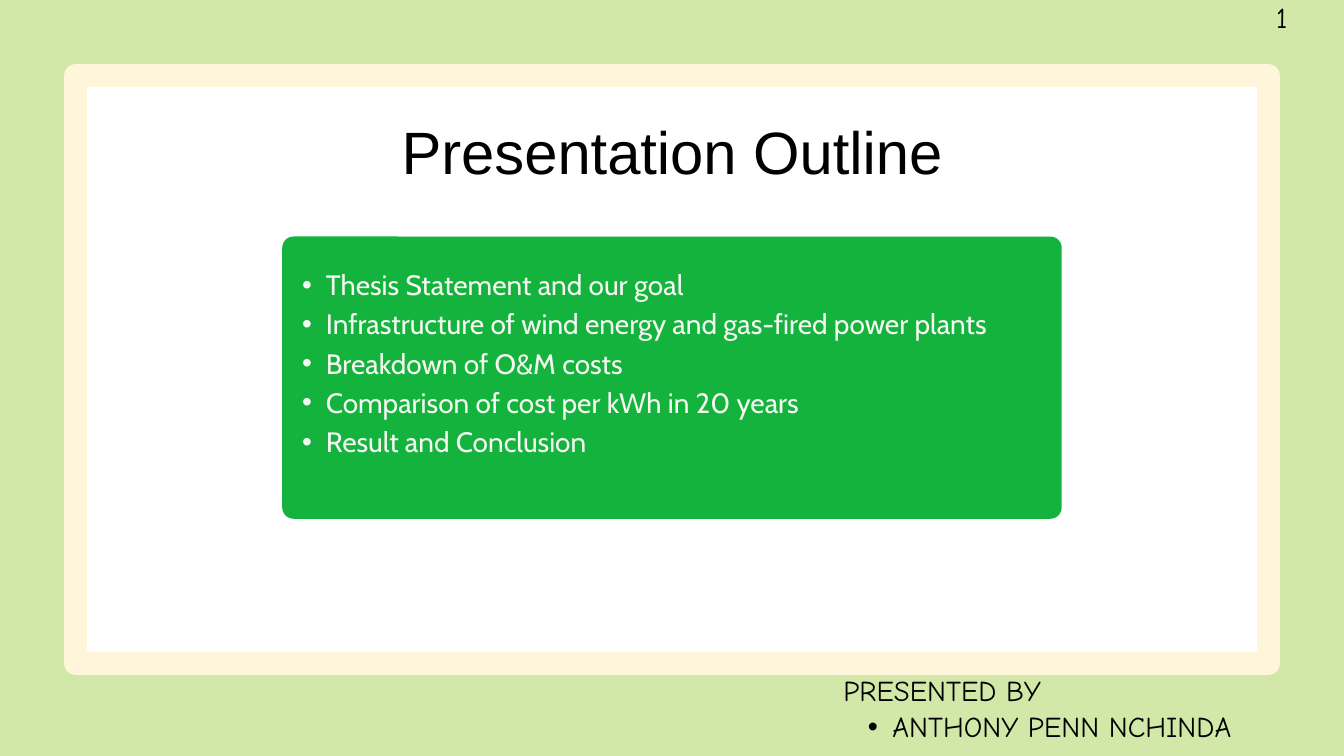
from lxml.etree import SubElement
from pptx import Presentation
from pptx.dml.color import RGBColor
from pptx.enum.shapes import MSO_SHAPE as Shape
from pptx.enum.text import MSO_ANCHOR as Anchor, MSO_AUTO_SIZE as AutoSize, PP_ALIGN as Align
from pptx.oxml.ns import qn
from pptx.util import Inches, Pt

GREEN_PALE = RGBColor(0xD2, 0xE8, 0xA8)
GREEN = RGBColor(0x14, 0xB3, 0x3D)
CREAM = RGBColor(0xFE, 0xF5, 0xDA)
WHITE = RGBColor(0xFF, 0xFF, 0xFF)
OFF_WHITE = RGBColor(0xF5, 0xF8, 0xF1)
BLACK = RGBColor(0x00, 0x00, 0x00)

WIDTH, HEIGHT = 20, 11.25
MARGIN = HEIGHT / 10
PANEL_WIDTH = WIDTH * 0.58

OUTLINE = [
    "Thesis Statement and our goal",
    "Infrastructure of wind energy and gas-fired power plants",
    "Breakdown of O&M costs",
    "Comparison of cost per kWh in 20 years",
    "Result and Conclusion",
]


def place(box, left, top, width, height):
    box.left, box.top = Inches(left), Inches(top)
    box.width, box.height = Inches(width), Inches(height)


def write(box, lines, font, size, color, spacing, align=Align.LEFT, bullets_from=None, indent=0.71):
    """Fill a box with paragraphs, bulleted from the given line onwards."""
    frame = box.text_frame
    frame.word_wrap = True
    frame.auto_size = AutoSize.NONE
    frame.vertical_anchor = Anchor.TOP
    frame.margin_left = frame.margin_top = frame.margin_right = frame.margin_bottom = 0
    for number, line in enumerate(lines):
        para = frame.paragraphs[0] if number == 0 else frame.add_paragraph()
        para.alignment = align
        para.line_spacing = Pt(spacing)
        para.space_before = Pt(0)
        if bullets_from is not None and number >= bullets_from:
            properties = para._p.get_or_add_pPr()
            properties.set("marL", str(Inches(indent)))
            properties.set("indent", str(-Inches(indent / 2)))
            SubElement(properties, qn("a:buFont")).set("typeface", "Arial")
            SubElement(properties, qn("a:buChar")).set("char", "•")
        span = para.add_run()
        span.text = line
        span.font.name = font
        span.font.size = Pt(size)
        span.font.color.rgb = color


deck = Presentation()
deck.slide_width, deck.slide_height = Inches(WIDTH), Inches(HEIGHT)
page = deck.slides.add_slide(deck.slide_layouts[1])
page.background.fill.solid()
page.background.fill.fore_color.rgb = GREEN_PALE
title, body = page.placeholders

# Framed white board and the green panel on it
board = page.shapes.add_shape(Shape.RECTANGLE, 0, 0, 0, 0)
place(board, MARGIN, MARGIN, WIDTH - 2 * MARGIN, 8.75)
board.line.color.rgb = CREAM
board.line.width = Pt(24)

panel = page.shapes.add_shape(Shape.ROUNDED_RECTANGLE, 0, 0, 0, 0)
place(panel, (WIDTH - PANEL_WIDTH) / 2, 3.52, PANEL_WIDTH, 4.2)
panel.adjustments[0] = 0.04
panel.line.fill.background()

for shape, color in ((board, WHITE), (panel, GREEN)):
    shape.shadow.inherit = False
    shape.fill.solid()
    shape.fill.fore_color.rgb = color

# Title and list stand in front of the board
for holder in (title, body):
    tree = holder.element.getparent()
    tree.append(holder.element)

place(title, 1.88, 1.53, WIDTH - 2 * 1.88, 1.21)
write(title, ["Presentation Outline"], "Arial", 64, BLACK, 89.6, Align.CENTER)

place(body, 4.14, 3.9, 11.73, 3.41)
write(body, OUTLINE, "Cabin", 30, OFF_WHITE, 42, bullets_from=0)

presenter = page.shapes.add_textbox(0, 0, 0, 0)
place(presenter, 12.55, 9.97, WIDTH - 12.55, 1.08)
write(presenter, ["PRESENTED BY", "ANTHONY PENN NCHINDA"], "Comic Neue", 30.8, BLACK, 39.4,
      Align.JUSTIFY, bullets_from=1, indent=0.73)

page_number = page.shapes.add_textbox(0, 0, 0, 0)
place(page_number, 18.99, -0.03, WIDTH - 18.99, 0.54)
write(page_number, ["1"], "Comic Neue", 30.8, BLACK, 39.4, Align.JUSTIFY)

deck.save("out.pptx")
